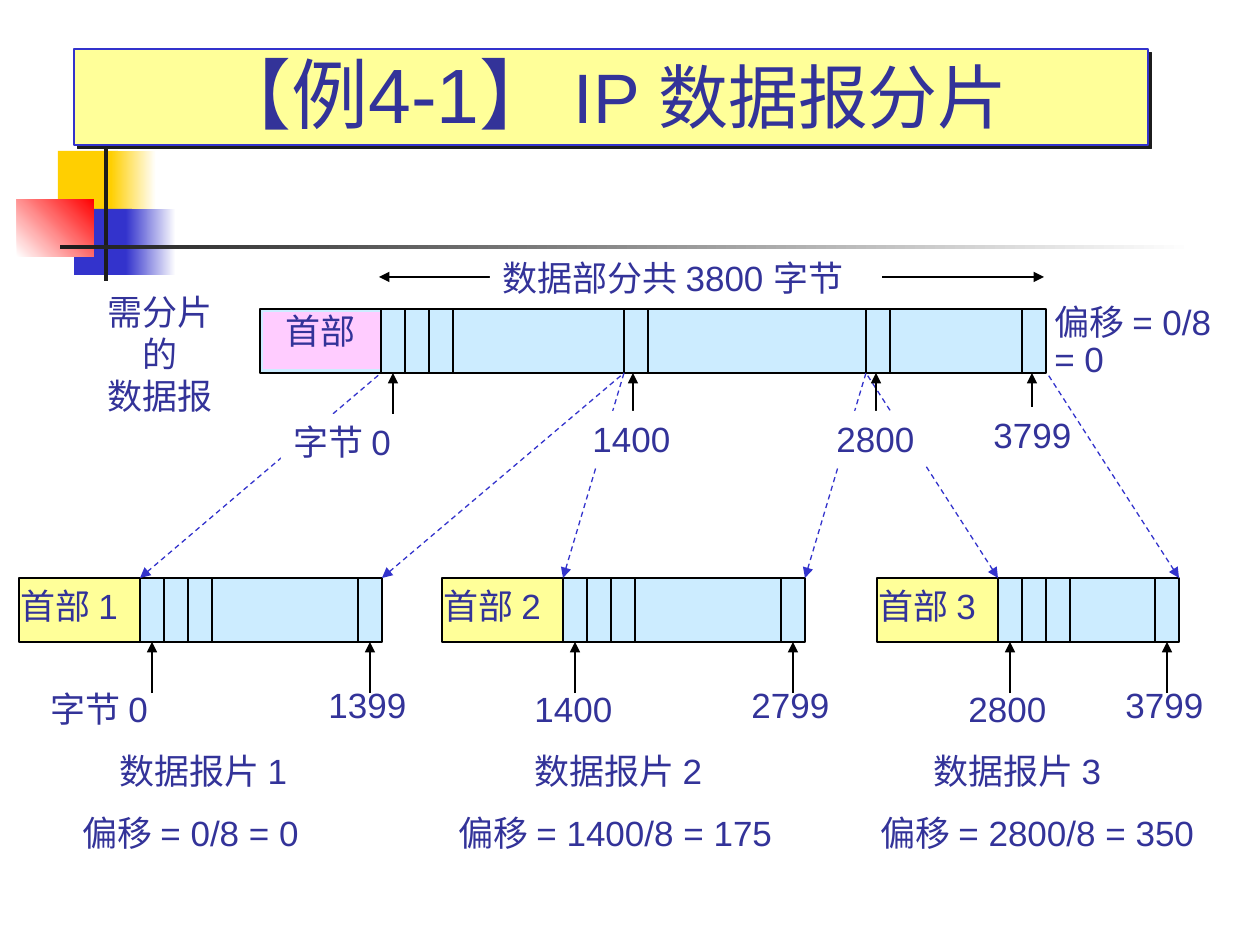
from lxml import etree
from pptx import Presentation
from pptx import util as u
from pptx.dml.color import RGBColor
from pptx.enum import dml, shapes, text
from pptx.oxml.ns import qn

PX = u.Inches(1) / 126  # one px in EMU

NAVY = RGBColor(0x33, 0x33, 0x99)
BLUE = RGBColor(0x33, 0x33, 0xCC)
GOLD = RGBColor(0xFF, 0xCF, 0x01)
RED = RGBColor(0xFF, 0x00, 0x00)
INK = RGBColor(0x1C, 0x1C, 0x1C)
BLACK = RGBColor(0x00, 0x00, 0x00)
WHITE = RGBColor(0xFF, 0xFF, 0xFF)
YELLOW = RGBColor(0xFF, 0xFF, 0x99)
PINK = RGBColor(0xFF, 0xCC, 0xFF)
SKY = RGBColor(0xCC, 0xEC, 0xFF)

CELL = 24       # width of one byte cell
HEADER = 121    # width of a datagram header
BAR_H = 64
LABEL_H = 55


def emu(*lengths):
    return [u.Emu(round(n * PX)) for n in lengths]


def add_rect(slide, box, fill, line=None, weight=0.75):
    """Fill is one colour, or (start, end, angle) for a gradient."""
    rect = slide.shapes.add_shape(shapes.MSO_SHAPE.RECTANGLE, *emu(*box))
    rect.shadow.inherit = False
    if isinstance(fill, RGBColor):
        rect.fill.solid()
        rect.fill.fore_color.rgb = fill
    else:
        start, end, angle = fill
        rect.fill.gradient()
        rect.fill.gradient_angle = angle
        for stop, color, position in zip(rect.fill.gradient_stops, (start, end), (0, 1)):
            stop.color.rgb = color
            stop.position = position
    if line is None:
        rect.line.fill.background()
    else:
        rect.line.color.rgb = line
        rect.line.width = u.Pt(weight)
    return rect


def add_line(slide, start, end, color=BLACK, ends=(), dashed=False):
    line = slide.shapes.add_connector(
        shapes.MSO_CONNECTOR.STRAIGHT, *emu(*start, *end))
    line.line.color.rgb = color
    line.line.width = u.Pt(0.75)
    if dashed:
        line.line.dash_style = dml.MSO_LINE.DASH
    properties = line._element.spPr.find(qn("a:ln"))
    for end_name in ends:
        etree.SubElement(properties, qn("a:" + end_name), type="triangle")
    etree.SubElement(line._element.spPr, qn("a:effectLst"))


def add_label(slide, left, top, width, words, height=LABEL_H, fill=None,
              align=text.PP_ALIGN.LEFT):
    label = slide.shapes.add_textbox(*emu(left, top, width, height))
    if fill is not None:
        label.fill.solid()
        label.fill.fore_color.rgb = fill
    frame = label.text_frame
    frame.word_wrap = False
    frame.auto_size = text.MSO_AUTO_SIZE.SHAPE_TO_FIT_TEXT
    frame.text = words
    for paragraph in frame.paragraphs:
        paragraph.alignment = align
        paragraph.font.size = u.Pt(20)
        paragraph.font.name = "Arial"
        paragraph.font.color.rgb = NAVY
    return label


def add_ticks(slide, left, top, offsets):
    for offset in offsets:
        add_line(slide, (left + offset, top), (left + offset, top + BAR_H))


def add_pointer(slide, x, top, length):
    add_line(slide, (x, top + length), (x, top), ends=["tailEnd"])


def draw_ornament(slide, left, top):
    for x, y, width, height, fill in (
        (41, 15, 60, 66, GOLD),
        (94, 15, 45, 66, (GOLD, WHITE, 0)),
        (57, 73, 58, 66, BLUE),
        (109, 73, 50, 66, (BLUE, WHITE, 0)),
        (0, 63, 77, 58, (WHITE, RED, 45)),
        (87, 0, 4, 145, INK),
        (43, 109, 1134, 4, (INK, WHITE, 0)),
    ):
        add_rect(slide, (left + x, top + y, width, height), fill)


def draw_title(slide, box):
    title = add_rect(slide, box, YELLOW, BLUE)
    effects = title._element.spPr.find(qn("a:effectLst"))
    shadow = etree.SubElement(effects, qn("a:outerShdw"), dist=str(int(u.Pt(2.8))),
                              dir="2700000", algn="ctr", rotWithShape="0")
    etree.SubElement(shadow, qn("a:srgbClr"), val=str(INK))
    frame = title.text_frame
    frame.word_wrap = True
    frame.vertical_anchor = text.MSO_ANCHOR.BOTTOM
    paragraph = frame.paragraphs[0]
    paragraph.alignment = text.PP_ALIGN.CENTER
    paragraph.font.name = "Arial"
    paragraph.font.color.rgb = NAVY
    for words, size in (("【例4-1】 ", 44), ("IP 数据报分片", 40)):
        run = paragraph.add_run()
        run.text = words
        run.font.size = u.Pt(size)


def draw_datagram(slide, left, top, width):
    """The whole datagram, with its captions and its last byte."""
    data, right = left + HEADER, left + width
    add_rect(slide, (left, top, width, BAR_H), SKY, BLACK, 1.5)
    add_rect(slide, (left + 3, top + 3, HEADER - 4, 57), PINK)
    add_ticks(slide, data, top, (0, CELL, 2 * CELL, 3 * CELL, 243, 243 + CELL,
                                 485, 485 + CELL, right - CELL - data))
    add_label(slide, left + 13, top - 6, 95, "首部")
    add_label(slide, left - 182, top - 25, 165, "需分片的\n数据报", 97,
              align=text.PP_ALIGN.CENTER)
    offset = add_label(slide, right - 4, top - 15, 200, "偏移 = 0/8\n= 0", 93)
    offset.text_frame.paragraphs[1].line_spacing = 0.9
    # Extent of the data part
    add_line(slide, (data - 2, top - 32), (right - 2, top - 32),
             ends=["headEnd", "tailEnd"])
    add_label(slide, left + 230, top - 59, 392, "数据部分共 3800 字节", fill=WHITE)
    # Last byte
    add_pointer(slide, right - 14, top + BAR_H, 50)
    add_label(slide, right - 65, top + 98, 103, "3799", fill=WHITE)


def draw_byte_marks(slide, data, top):
    """Bytes at which the fragments start, below the whole datagram."""
    for x, label_x, label_y, width, words in (
        (12, -100, 41, 140, "字节 0"),
        (252, 199, 38, 103, "1400"),
        (495, 443, 38, 103, "2800"),
    ):
        add_pointer(slide, data + x, top, 50)
        add_label(slide, data + label_x, top + label_y, width, words, fill=WHITE)


def draw_fragment(slide, left, top, data_width, number, sources, first, last,
                  name_x, offset):
    data = left + HEADER
    right = data + data_width
    bottom = top + BAR_H
    # Bar with header and data
    add_rect(slide, (data, top, data_width, BAR_H), SKY, BLACK)
    add_ticks(slide, data, top, (CELL, 2 * CELL, 3 * CELL, data_width - CELL))
    add_rect(slide, (left, top, HEADER, BAR_H), YELLOW, BLACK)
    add_label(slide, left - 11, top, 140, f"首部 {number}")
    # Where the data comes from
    for corner, source in zip((data, right), sources):
        add_line(slide, (corner, top), source, BLUE, ["headEnd"], dashed=True)
    # First and last byte
    for x in (data + 12, right - 12):
        add_pointer(slide, x, bottom, 51)
    first_x, first_width, first_words = first
    add_label(slide, left + first_x, bottom + 39, first_width, first_words)
    add_label(slide, right - 66, bottom + 35, 103, last)
    # Captions
    add_label(slide, left + name_x, bottom + 101, 210, f"数据报片 {number}")
    offset_x, offset_width, offset_words = offset
    add_label(slide, left + offset_x, bottom + 163, offset_width, offset_words)


def main():
    deck = Presentation()
    deck.slide_width, deck.slide_height = emu(1260, 945)
    slide = deck.slides.add_slide(deck.slide_layouts[6])

    draw_ornament(slide, 17, 136)
    draw_datagram(slide, 260, 309, 786)
    cuts = [(x, 373) for x in (381, 624, 866, 1047)]
    fragments = (
        (19, 242, (19, 140, "字节 0"), "1399", 88, (51, 260, "偏移 = 0/8 = 0")),
        (442, 242, (80, 103, "1400"), "2799", 80, (4, 357, "偏移 = 1400/8 = 175")),
        (877, 181, (79, 103, "2800"), "3799", 44, (-9, 357, "偏移 = 2800/8 = 350")),
    )
    for number, (left, width, *captions) in enumerate(fragments, 1):
        draw_fragment(slide, left, 578, width, number,
                      cuts[number - 1:number + 1], *captions)
    draw_byte_marks(slide, 381, 373)
    draw_title(slide, (74, 49, 1074, 96))
    deck.save("out.pptx")


if __name__ == "__main__":
    main()
